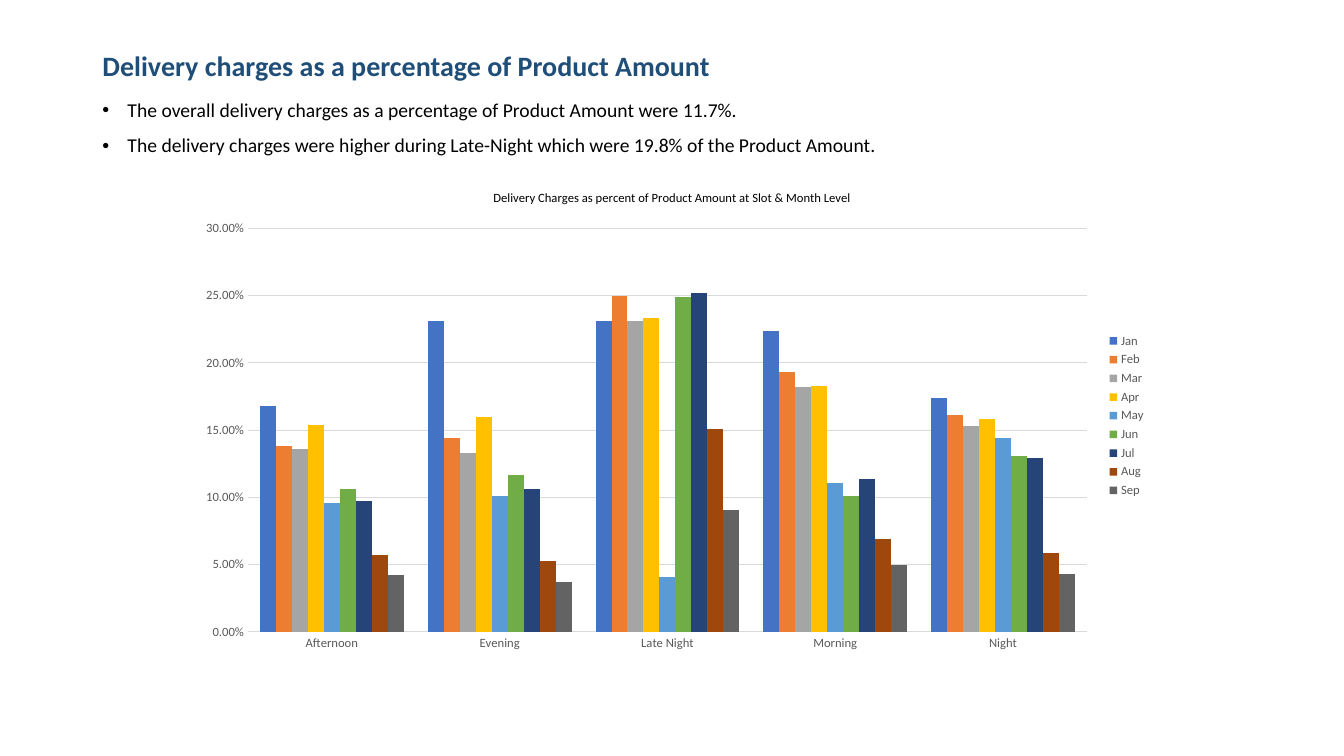
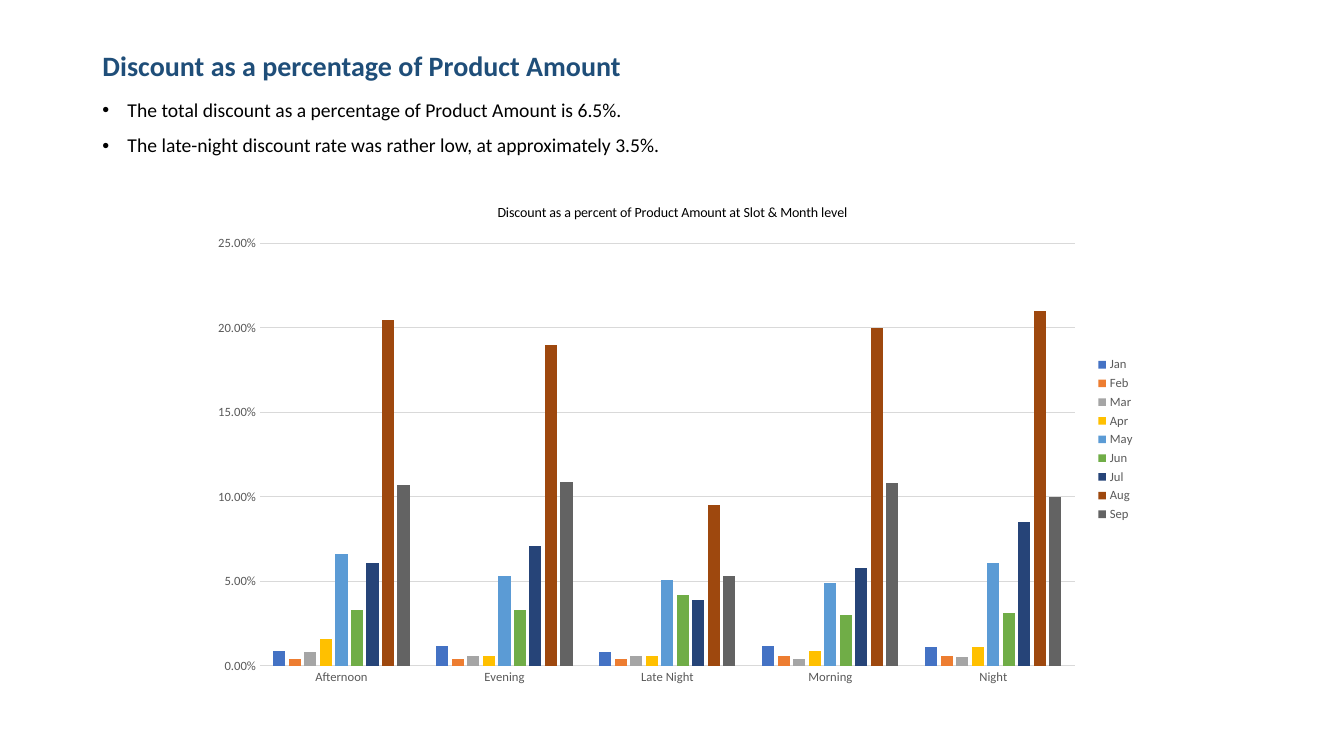
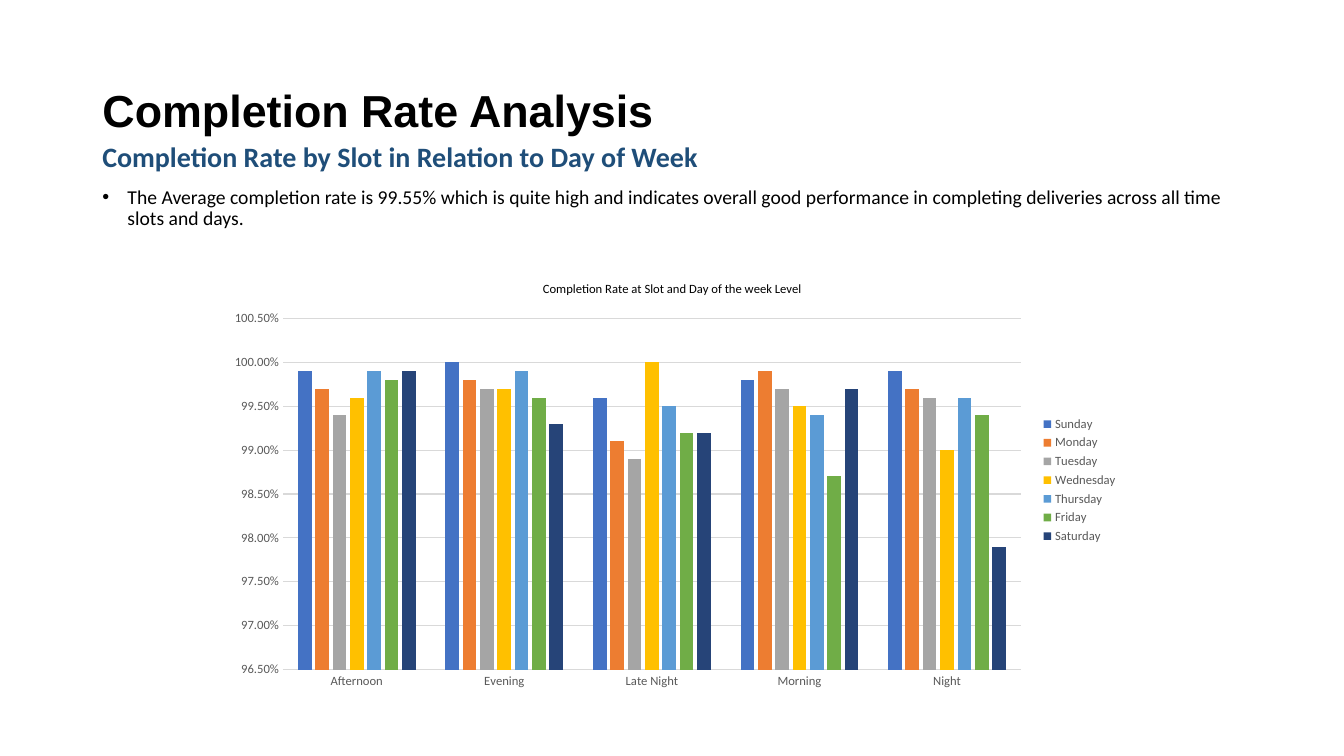
from lxml import etree
from pptx import Presentation
from pptx.chart.data import CategoryChartData
from pptx.dml.color import RGBColor
from pptx.enum.chart import XL_CHART_TYPE, XL_LEGEND_POSITION, XL_TICK_MARK
from pptx.enum.text import MSO_ANCHOR, MSO_AUTO_SIZE, PP_ALIGN
from pptx.oxml.ns import qn
from pptx.util import Pt

# Shared style
NAVY = RGBColor(0x1F, 0x4E, 0x79)
BLACK = RGBColor(0, 0, 0)
GRAY = RGBColor(0x59, 0x59, 0x59)
RULE = RGBColor(0xD9, 0xD9, 0xD9)
SERIES_COLORS = [RGBColor.from_string(code) for code in (
    "4472C4", "ED7D31", "A5A5A5", "FFC000", "5B9BD5",
    "70AD47", "264478", "9E480E", "636363")]
BODY_FONT = "Calibri"
HEADING = dict(size=20, font=BODY_FONT, color=NAVY, bold=True)
BANNER = dict(size=32, font="Arial", color=BLACK, bold=True)
BULLET = dict(size=14, font=BODY_FONT, color=BLACK, bold=False)
LEFT, WIDTH = 66, 828
INDENT = 18

# Content: values in percent, one per slot; boxes as left, top, width, height
SLOTS = ["Afternoon", "Evening", "Late Night", "Morning", "Night"]
SLIDES = [
    dict(
        title="Delivery charges as a percentage of Product Amount",
        title_style=HEADING, title_span=(28.3, 39.6), body_span=(68.4, 54),
        bullets=[
            "The overall delivery charges as a percentage of Product Amount were 11.7%.",
            "The delivery charges were higher during Late-Night which were 19.8% "
            "of the Product Amount."],
        chart_title="Delivery Charges as percent of Product Amount at Slot & Month Level",
        chart_title_size=9, chart_title_at=(350.8, 133.6),
        chart_box=(133.2, 122.4, 692.6, 349.2), plot_box=(177.1, 163.1, 599.3, 288.4),
        axis=(0, 30, 5), gap=150, overlap=0,
        series={
            "Jan": (16.8, 23.1, 23.1, 22.4, 17.4),
            "Feb": (13.8, 14.4, 25, 19.3, 16.1),
            "Mar": (13.6, 13.3, 23.1, 18.2, 15.3),
            "Apr": (15.4, 16, 23.3, 18.3, 15.8),
            "May": (9.6, 10.1, 4.1, 11.1, 14.4),
            "Jun": (10.6, 11.7, 24.9, 10.1, 13.1),
            "Jul": (9.7, 10.6, 25.2, 11.4, 12.9),
            "Aug": (5.7, 5.3, 15.1, 6.9, 5.9),
            "Sep": (4.2, 3.7, 9.1, 5, 4.3)}),
    dict(
        title="Discount as a percentage of Product Amount",
        title_style=HEADING, title_span=(28.3, 39.6), body_span=(68.4, 54),
        bullets=[
            "The total discount as a percentage of Product Amount is 6.5%.",
            "The late-night discount rate was rather low, at approximately 3.5%."],
        chart_title="Discount as a percent of Product Amount at Slot & Month level",
        chart_title_size=10, chart_title_at=(353.6, 143.6),
        chart_box=(141.8, 131.8, 676.1, 364.3), plot_box=(185.7, 173.9, 582.1, 301.8),
        axis=(0, 25, 5), gap=219, overlap=-27,
        series={
            "Jan": (0.9, 1.2, 0.8, 1.2, 1.1),
            "Feb": (0.4, 0.4, 0.4, 0.6, 0.6),
            "Mar": (0.8, 0.6, 0.6, 0.4, 0.5),
            "Apr": (1.6, 0.6, 0.6, 0.9, 1.1),
            "May": (6.6, 5.3, 5.1, 4.9, 6.1),
            "Jun": (3.3, 3.3, 4.2, 3, 3.1),
            "Jul": (6.1, 7.1, 3.9, 5.8, 8.5),
            "Aug": (20.5, 19, 9.5, 20, 21),
            "Sep": (10.7, 10.9, 5.3, 10.8, 10)}),
    dict(
        title="Completion Rate Analysis",
        title_style=BANNER, title_span=(28.8, 104.4), body_span=(98.6, 89.3),
        subtitle="Completion Rate by Slot in Relation to Day of Week",
        bullets=[
            "The Average completion rate is 99.55% which is quite high and indicates "
            "overall good performance in completing deliveries across all time slots "
            "and days."],
        chart_title="Completion Rate at Slot and Day of the week Level",
        chart_title_size=9, chart_title_at=(386.1, 198.6),
        chart_box=(154.8, 188.2, 650.9, 309.6), plot_box=(202.1, 227.6, 527.1, 250.7),
        axis=(96.5, 100.5, 0.5), gap=219, overlap=-27,
        series={
            "Sunday": (99.9, 100, 99.6, 99.8, 99.9),
            "Monday": (99.7, 99.8, 99.1, 99.9, 99.7),
            "Tuesday": (99.4, 99.7, 98.9, 99.7, 99.6),
            "Wednesday": (99.6, 99.7, 100, 99.5, 99),
            "Thursday": (99.9, 99.9, 99.5, 99.4, 99.6),
            "Friday": (99.8, 99.6, 99.2, 98.7, 99.4),
            "Saturday": (99.9, 99.3, 99.2, 99.7, 97.9)}),
]


def style_font(target, size, font, color, bold=False):
    target.size, target.name, target.bold = Pt(size), font, bold
    target.color.rgb = color


def place(shape, span):
    shape.left, shape.width = Pt(LEFT), Pt(WIDTH)
    shape.top, shape.height = (Pt(length) for length in span)


def format_paragraph(paragraph, text, style):
    paragraph.text = text
    paragraph.alignment = PP_ALIGN.LEFT
    paragraph.line_spacing = 0.9
    style_font(paragraph.runs[0].font, **style)


def add_bullet(paragraph):
    properties = paragraph._p.get_or_add_pPr()
    properties.set("marL", str(Pt(INDENT)))
    properties.set("indent", str(-Pt(INDENT)))
    etree.SubElement(properties, qn("a:buFont"), typeface="Arial")
    etree.SubElement(properties, qn("a:buChar"), char="•")


def add_title(slide, page):
    title = slide.shapes.title
    place(title, page["title_span"])
    frame = title.text_frame
    frame.word_wrap, frame.auto_size = True, MSO_AUTO_SIZE.NONE
    frame.vertical_anchor = MSO_ANCHOR.MIDDLE
    format_paragraph(frame.paragraphs[0], page["title"], page["title_style"])


def add_body(slide, page):
    body = slide.shapes.add_textbox(0, 0, 0, 0)
    place(body, page["body_span"])
    frame = body.text_frame
    frame.word_wrap = True
    lines = [(text, BULLET) for text in page["bullets"]]
    if "subtitle" in page:
        lines.insert(0, (page["subtitle"], HEADING))
    for number, (text, style) in enumerate(lines):
        paragraph = frame.add_paragraph() if number else frame.paragraphs[0]
        format_paragraph(paragraph, text, style)
        paragraph.space_before = Pt(10)
        if style is BULLET:
            add_bullet(paragraph)


def set_layout(parent, position, fractions, inner=False):
    """Fix a chart part at fractions (x, y and perhaps w, h) of the chart."""
    for old in parent.findall(qn("c:layout")):
        parent.remove(old)
    layout = etree.Element(qn("c:layout"))
    manual = etree.SubElement(layout, qn("c:manualLayout"))
    if inner:
        etree.SubElement(manual, qn("c:layoutTarget"), val="inner")
    for key in ("xMode", "yMode"):
        etree.SubElement(manual, qn(f"c:{key}"), val="edge")
    for key, fraction in zip("xywh", fractions):
        etree.SubElement(manual, qn(f"c:{key}"), val=f"{fraction:.4f}")
    parent.insert(position, layout)


def add_column_chart(slide, page):
    data = CategoryChartData(number_format="0.00%")
    data.categories = SLOTS
    for name, percents in page["series"].items():
        data.add_series(name, [round(value / 100, 3) for value in percents])
    left, top, width, height = page["chart_box"]
    chart = slide.shapes.add_chart(
        XL_CHART_TYPE.COLUMN_CLUSTERED,
        *(Pt(length) for length in page["chart_box"]), data).chart
    style_font(chart.font, 10, BODY_FONT, BLACK)

    # Columns
    plot = chart.plots[0]
    plot.gap_width, plot.overlap = page["gap"], page["overlap"]
    plot.vary_by_categories = False
    for series, color in zip(plot.series, SERIES_COLORS):
        series.format.fill.solid()
        series.format.fill.fore_color.rgb = color
        series.invert_if_negative = False

    # Axes
    slot_axis, rate_axis = chart.category_axis, chart.value_axis
    for axis in (slot_axis, rate_axis):
        axis.major_tick_mark = axis.minor_tick_mark = XL_TICK_MARK.NONE
        style_font(axis.tick_labels.font, 9, BODY_FONT, GRAY)
    rate_axis.minimum_scale, rate_axis.maximum_scale, rate_axis.major_unit = (
        round(value / 100, 3) for value in page["axis"])
    rate_axis.tick_labels.number_format = "0.00%"
    rate_axis.tick_labels.number_format_is_linked = False
    rate_axis.format.line.fill.background()
    rate_axis.has_major_gridlines = True
    for line in (slot_axis.format.line, rate_axis.major_gridlines.format.line):
        line.color.rgb, line.width = RULE, Pt(0.75)

    # Legend
    chart.has_legend = True
    chart.legend.position = XL_LEGEND_POSITION.RIGHT
    chart.legend.include_in_layout = False
    style_font(chart.legend.font, 9, BODY_FONT, GRAY)

    # Chart title and plot position
    chart.has_title = True
    heading = chart.chart_title
    heading.text_frame.text = page["chart_title"]
    style_font(heading.text_frame.paragraphs[0].runs[0].font,
               page["chart_title_size"], BODY_FONT, BLACK)
    x, y = page["chart_title_at"]
    set_layout(heading._element, 1, ((x - left) / width, (y - top) / height))
    x, y, w, h = page["plot_box"]
    set_layout(chart._chartSpace.chart.plotArea, 0,
               ((x - left) / width, (y - top) / height, w / width, h / height),
               inner=True)


def main():
    deck = Presentation()
    deck.slide_width, deck.slide_height = Pt(960), Pt(540)
    title_only = deck.slide_layouts[5]
    for page in SLIDES:
        slide = deck.slides.add_slide(title_only)
        add_title(slide, page)
        add_body(slide, page)
        add_column_chart(slide, page)
    deck.save("out.pptx")


if __name__ == "__main__":
    main()
